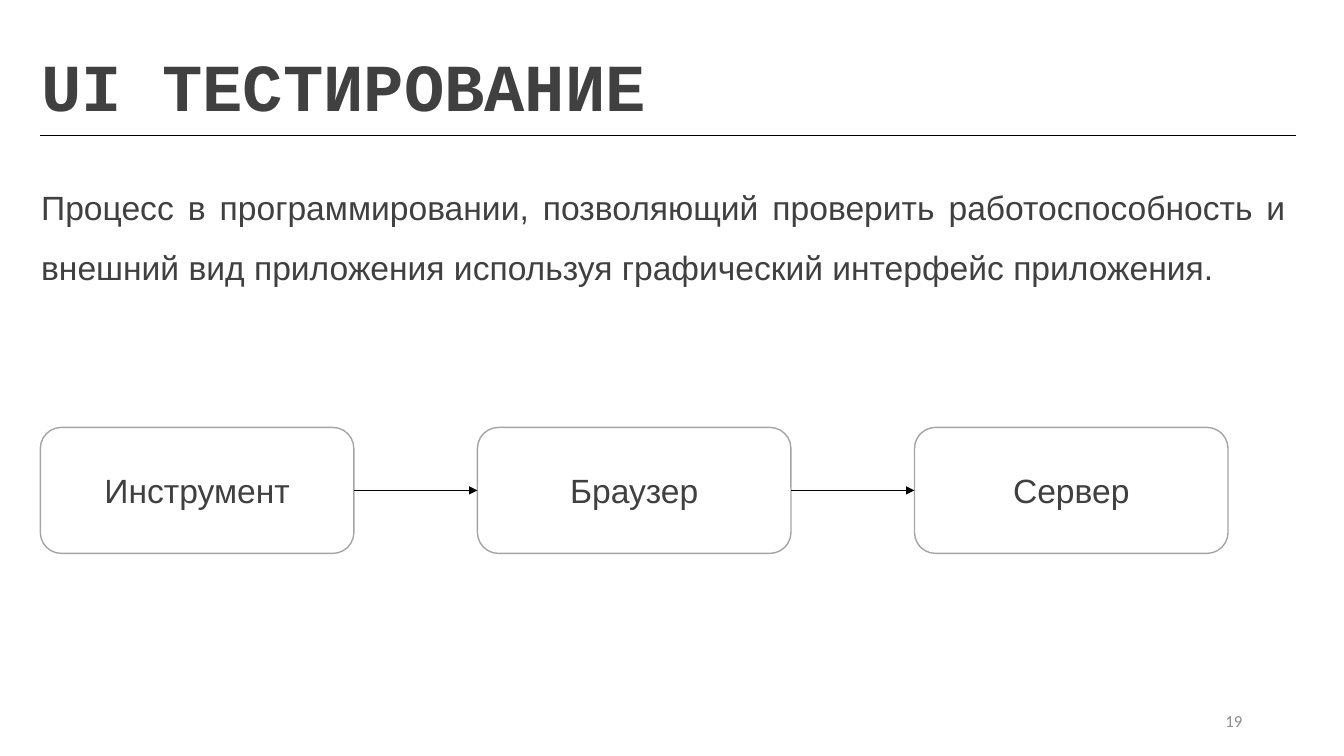
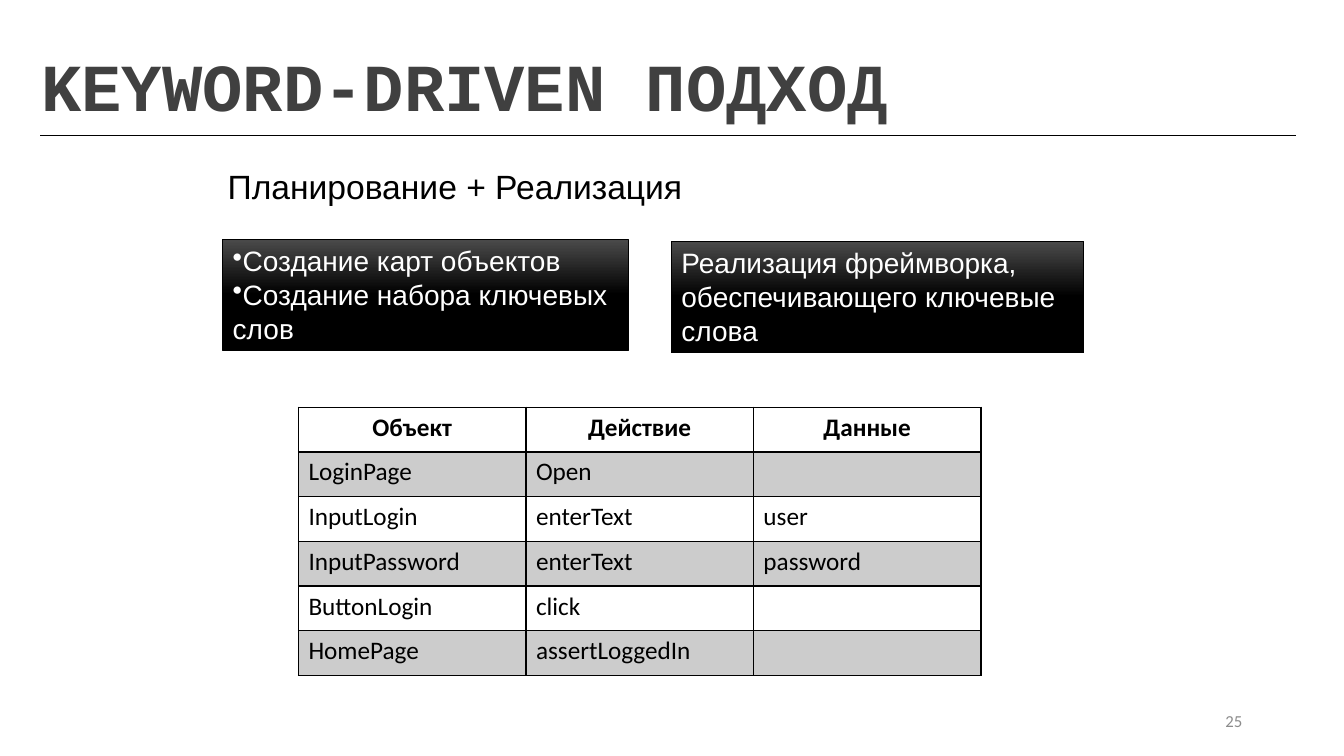
import pptx
import pptx.dml.color
import pptx.enum.shapes
import pptx.enum.text
import pptx.oxml
import pptx.oxml.ns
import pptx.util
from lxml import etree

Inches = pptx.util.Inches
Pt = pptx.util.Pt
ALIGN = pptx.enum.text.PP_ALIGN
ANCHOR = pptx.enum.text.MSO_ANCHOR
SHAPE = pptx.enum.shapes.MSO_SHAPE
STRAIGHT = pptx.enum.shapes.MSO_CONNECTOR.STRAIGHT
qn = pptx.oxml.ns.qn

BLACK, WHITE = "000000", "FFFFFF"
TEXT = "404040"
NUMBER = "8C8C8C"
BOX_LINE = "A5A5A5"
PANEL_TOP = "4B4B4B"
ROW_BAND = "CCCCCC"
TITLE_FONT, BODY_FONT, TABLE_FONT = "Courier New", "Arial", "Calibri"
LEFT = 0.4
TEXT_LEFT = 0.31


def rgb(value):
    return pptx.dml.color.RGBColor.from_string(value)


def write(frame, lines, size, color, font=BODY_FONT, bold=False, align=ALIGN.LEFT):
    frame.text = "\n".join(lines)
    for paragraph in frame.paragraphs:
        paragraph.alignment = align
        paragraph.font.name = font
        paragraph.font.size = Pt(size)
        paragraph.font.bold = bold
        paragraph.font.color.rgb = rgb(color)


def add_text(slide, text, left, top, width, height, size, color, wrap=True, **style):
    frame = slide.shapes.add_textbox(
        Inches(left), Inches(top), Inches(width), Inches(height)).text_frame
    frame.word_wrap = wrap
    write(frame, [text], size, color, **style)
    return frame


def add_box(slide, kind, left, top, width, height, line, line_width):
    box = slide.shapes.add_shape(
        kind, Inches(left), Inches(top), Inches(width), Inches(height))
    box.shadow.inherit = False
    box.line.color.rgb = rgb(line)
    box.line.width = Pt(line_width)
    return box


def add_line(slide, start, end):
    line = slide.shapes.add_connector(
        STRAIGHT, *(Inches(value) for value in (*start, *end)))
    line.line.color.rgb = rgb(BLACK)
    line.line.width = Pt(0.5)
    etree.SubElement(line._element.spPr, qn("a:effectLst"))
    return line


def add_arrow(slide, source, target):
    """Point from the right side of source to the left side of target."""
    arrow = add_line(slide, (0, 0), (0, 0))
    arrow.begin_connect(source, 3)
    arrow.end_connect(target, 1)
    etree.SubElement(arrow.line._get_or_add_ln(), qn("a:tailEnd"), type="triangle")


def add_slide(deck, title, number):
    """Add a slide with the shared title, rule and slide number."""
    slide = deck.slides.add_slide(deck.slide_layouts[6])
    add_text(slide, title, TEXT_LEFT, 0.39, 8.67, 0.91, 48, TEXT,
             wrap=False, font=TITLE_FONT, bold=True)
    footer = add_text(slide, str(number), 9.42, 6.95, 3, 0.4, 12, NUMBER,
                      font=TABLE_FONT, align=ALIGN.RIGHT)
    footer.vertical_anchor = ANCHOR.MIDDLE
    add_line(slide, (LEFT, 1.34), (12.85, 1.34))
    return slide


def add_flow(slide, steps, top, last_left):
    pitch = (last_left - LEFT) / (len(steps) - 1)
    boxes = []
    for index, step in enumerate(steps):
        box = add_box(slide, SHAPE.ROUNDED_RECTANGLE, LEFT + index * pitch, top,
                      3.11, 1.25, BOX_LINE, 1)
        box.fill.solid()
        box.fill.fore_color.rgb = rgb(WHITE)
        write(box.text_frame, [step], 24, TEXT, align=ALIGN.CENTER)
        box.text_frame.vertical_anchor = ANCHOR.MIDDLE
        boxes.append(box)
    for source, target in zip(boxes, boxes[1:]):
        add_arrow(slide, source, target)


def add_panel(slide, lines, left, top, width, bulleted=False):
    panel = add_box(slide, SHAPE.RECTANGLE, left, top, width, 1.11, BLACK, 0.5)
    panel.fill.gradient()
    panel.fill.gradient_angle = 270
    for stop, position, color in zip(
            panel.fill.gradient_stops, (0, 0.5), (PANEL_TOP, BLACK)):
        stop.position = position
        stop.color.rgb = rgb(color)
    frame = panel.text_frame
    write(frame, lines, 20, WHITE)
    frame.vertical_anchor = ANCHOR.TOP
    if bulleted:
        for paragraph in frame.paragraphs:
            properties = paragraph._p.get_or_add_pPr()
            properties.insert_element_before(
                pptx.oxml.parse_xml(
                    f'<a:buChar {pptx.oxml.ns.nsdecls("a")} char="•"/>'),
                "a:tabLst", "a:defRPr", "a:extLst")


def set_borders(cell, widths):
    """Draw black borders; widths maps the sides L, R, T, B to points."""
    properties = cell._tc.get_or_add_tcPr()
    for side, width in widths.items():
        border = etree.SubElement(properties, qn(f"a:ln{side}"), w=str(Pt(width)))
        fill = etree.SubElement(border, qn("a:solidFill"))
        etree.SubElement(fill, qn("a:srgbClr"), val=BLACK)


def add_table(slide, rows, left, top, width, height):
    table = slide.shapes.add_table(
        len(rows), len(rows[0]),
        Inches(left), Inches(top), Inches(width), Inches(height)).table
    for row_index, row in enumerate(rows):
        is_header = row_index == 0
        for column_index, value in enumerate(row):
            cell = table.cell(row_index, column_index)
            write(cell.text_frame, [value], 18, BLACK, font=TABLE_FONT, bold=is_header,
                  align=ALIGN.CENTER if is_header else ALIGN.LEFT)
            set_borders(cell, {"L": 1, "R": 1, "T": 2 if row_index == 1 else 1,
                               "B": 2 if is_header else 1})
            cell.fill.solid()
            cell.fill.fore_color.rgb = rgb(ROW_BAND if row_index % 2 else WHITE)


def build_ui_testing(deck):
    slide = add_slide(deck, "UI ТЕСТИРОВАНИЕ", 19)
    definition = add_text(
        slide,
        "Процесс в программировании, позволяющий проверить работоспособность и "
        "внешний вид приложения используя графический интерфейс приложения.",
        TEXT_LEFT, 1.6, 12.54, 1.31, 24, TEXT, align=ALIGN.JUSTIFY)
    definition.paragraphs[0].line_spacing = 1.5
    add_flow(slide, ["Инструмент", "Браузер", "Сервер"], 4.24, 9.07)


def build_keyword_driven(deck):
    slide = add_slide(deck, "KEYWORD-DRIVEN ПОДХОД", 25)
    phases = add_text(slide, "Планирование + Реализация", 2.16, 1.6, 9, 0.79, 24, BLACK)
    phases.paragraphs[0].space_before = phases.paragraphs[0].space_after = Pt(6)
    add_panel(slide, ["Создание карт объектов", "Создание набора ключевых слов"],
              2.21, 2.37, 4.02, bulleted=True)
    add_panel(slide, ["Реализация фреймворка, обеспечивающего ключевые слова"],
              6.66, 2.39, 4.09)
    add_table(slide, [
        ("Объект", "Действие", "Данные"),
        ("LoginPage", "Open", ""),
        ("InputLogin", "enterText", "user"),
        ("InputPassword", "enterText", "password"),
        ("ButtonLogin", "click", ""),
        ("HomePage", "assertLoggedIn", ""),
    ], 2.96, 4.04, 6.77, 2.66)


def main():
    deck = pptx.Presentation()
    deck.slide_width = Inches(13.33)
    deck.slide_height = Inches(7.5)
    build_ui_testing(deck)
    build_keyword_driven(deck)
    deck.save("out.pptx")


if __name__ == "__main__":
    main()
